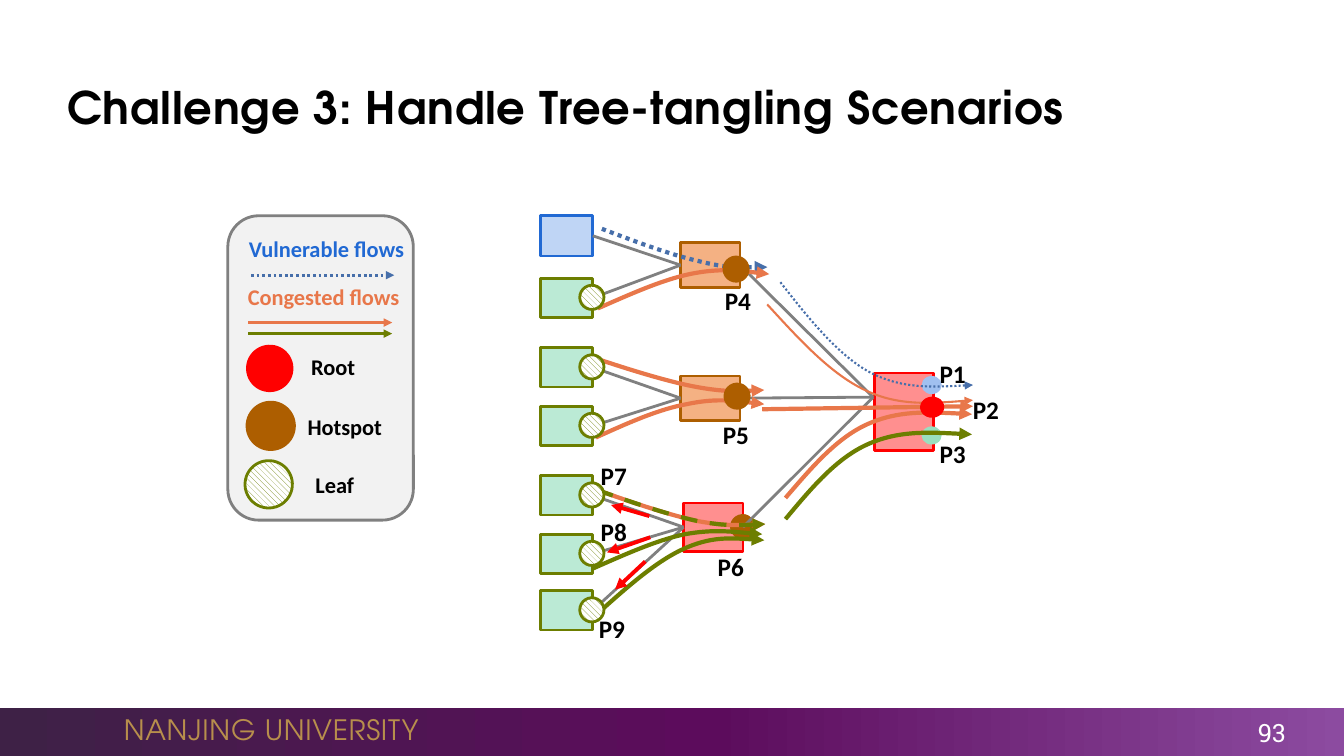
from dataclasses import dataclass
from typing import Optional

import lxml.etree
import pptx
import pptx.dml.color
import pptx.dml.fill
import pptx.dml.line
import pptx.enum.dml
import pptx.enum.shapes
import pptx.enum.text
import pptx.oxml.ns
import pptx.shapes.autoshape
import pptx.shapes.connector
import pptx.util

RGB = pptx.dml.color.RGBColor
SHAPE = pptx.enum.shapes.MSO_SHAPE
PATTERN = pptx.enum.dml.MSO_PATTERN_TYPE
DASH = pptx.enum.dml.MSO_LINE_DASH_STYLE
ALIGN = pptx.enum.text.PP_ALIGN
ANCHOR = pptx.enum.text.MSO_ANCHOR
qn = pptx.oxml.ns.qn

PX = 9144
TOP, LEFT, BOTTOM, RIGHT = range(4)

BLACK = RGB(0x00, 0x00, 0x00)
WHITE = RGB(0xFF, 0xFF, 0xFF)
GRAY = RGB(0x80, 0x80, 0x80)
PANEL = RGB(0xF2, 0xF2, 0xF2)
GOLD = RGB(0xB8, 0x8F, 0x4C)
RED = RGB(0xFF, 0x00, 0x00)
PINK = RGB(0xFF, 0x8F, 0x8F)
ROSE = RGB(0xF4, 0x9F, 0xAC)
BROWN = RGB(0xAD, 0x5E, 0x00)
PEACH = RGB(0xF4, 0xB1, 0x83)
ORANGE = RGB(0xE8, 0x77, 0x4A)
OLIVE = RGB(0x6C, 0x7E, 0x00)
MINT = RGB(0xBB, 0xEA, 0xD5)
PORT_MINT = RGB(0x9A, 0xDF, 0xBF)
BLUE = RGB(0x21, 0x69, 0xD3)
PALE_BLUE = RGB(0xBF, 0xD5, 0xF5)
PORT_BLUE = RGB(0xA0, 0xC0, 0xF0)
FLOW_BLUE = RGB(0x47, 0x6F, 0xAA)
BAND = ((0, RGB(0x3E, 0x21, 0x46)), (0.53, RGB(0x5C, 0x0C, 0x5C)), (1, RGB(0x8C, 0x4B, 0xA0)))


@dataclass(frozen=True)
class Box:
    x: int
    y: int
    w: int
    h: int
    fill: RGB
    line: RGB
    kind: SHAPE = SHAPE.RECTANGLE


@dataclass(frozen=True)
class Dot:
    x: int
    y: int
    w: int
    h: int
    color: RGB
    pattern: Optional[PATTERN] = None
    back: RGB = WHITE
    outlined: bool = True


@dataclass(frozen=True)
class Label:
    text: str
    x: int
    y: int
    w: int = 89
    h: int = 40
    size: int = 18
    color: RGB = BLACK
    font: str = "Calibri"
    bold: bool = True
    align: ALIGN = ALIGN.LEFT
    anchor: ANCHOR = ANCHOR.TOP
    spacing: int = 0
    wrap: bool = True


@dataclass(frozen=True)
class Flow:
    points: tuple[tuple[int, int], ...]
    color: RGB
    width: float = 3
    dash: Optional[DASH] = None


def hotspot(x: int, y: int, size: int = 24) -> Dot:
    return Dot(x, y, size, size, BROWN, PATTERN.DARK_VERTICAL)


def leaf(x: int, y: int, size: int = 24) -> Dot:
    return Dot(x, y, size, size, OLIVE, PATTERN.WIDE_DOWNWARD_DIAGONAL)


HOSTS = [Box(536, 214, 52, 40, PALE_BLUE, BLUE)] + [
    Box(536, y, 52, 39, MINT, OLIVE) for y in (276, 345, 403, 472, 530, 586)]
SWITCHES = [Box(675, 241, 59, 44, PEACH, BROWN), Box(675, 373, 59, 44, PEACH, BROWN),
            Box(678, 499, 59, 48, PINK, RED)]
SWITCH_OF_HOST = (0, 0, 1, 1, 2, 2, 2)
ROOT = Box(867, 370, 59, 77, PINK, RED)
ROOT_ENTRY = (866, 394)

LEGEND_PANEL = Box(226, 214, 184, 302, PANEL, GRAY, SHAPE.ROUNDED_RECTANGLE)
LEGEND_DOTS = [Dot(244, 342, 47, 47, RED, outlined=False), hotspot(245, 399, 47), leaf(243, 457, 47)]
LEGEND_FLOWS = [Flow(((249, 273), (391, 273)), FLOW_BLUE, 2, DASH.ROUND_DOT),
                Flow(((246, 320), (389, 320)), ORANGE, 2),
                Flow(((246, 331), (389, 331)), OLIVE, 2)]
PORTS = [Dot(915, 372, 18, 20, PORT_BLUE, outlined=False),
         Dot(915, 422, 18, 20, PORT_MINT, outlined=False)]
P6_FRONT = Dot(724, 510, 25, 25, BROWN, PATTERN.DARK_VERTICAL, ROSE, False)
FRONT_DOTS = [leaf(575, host.y + 7) for host in HOSTS[1:]] + [
    hotspot(718, 255), hotspot(719, 381), Dot(914, 392, 21, 24, RED, outlined=False)]

P7_CURVE = ((592, 486), (628, 499), (664, 511), (692, 517), (719, 522), (739, 521), (759, 520))
FLOWS = [
    Flow(((774, 280), (802, 316), (831, 352), (862, 369), (894, 386), (929, 384), (965, 382)),
         FLOW_BLUE, 1.5, DASH.ROUND_DOT),
    Flow(((761, 302), (793, 337), (824, 371), (858, 387), (891, 403), (928, 400), (965, 397)), ORANGE, 1.5),
    Flow(((756, 406), (965, 403)), ORANGE),
    Flow(((779, 494), (804, 465), (829, 435), (860, 421), (891, 407), (927, 409), (964, 411)), ORANGE),
    Flow(((597, 227), (631, 240), (666, 253), (693, 259), (720, 266), (740, 265), (761, 265)),
         FLOW_BLUE, 3, DASH.ROUND_DOT),
    Flow(((593, 306), (625, 292), (656, 278), (684, 272), (713, 266), (738, 269), (763, 272)), ORANGE),
    Flow(((592, 356), (628, 368), (664, 379), (691, 384), (719, 389), (739, 388), (758, 387)), ORANGE),
    Flow(((591, 434), (622, 420), (653, 406), (681, 401), (709, 395), (734, 398), (758, 401)), ORANGE),
    Flow(P7_CURVE, ORANGE),
    Flow(((588, 564), (620, 550), (651, 536), (679, 530), (707, 525), (731, 528), (756, 530)), OLIVE),
    Flow(((589, 612), (619, 585), (649, 558), (677, 545), (705, 532), (732, 534), (758, 536)), OLIVE),
    Flow(((779, 515), (804, 485), (829, 455), (860, 441), (891, 427), (927, 429), (964, 431)), OLIVE),
    Flow(((645, 533), (602, 548)), RED, 2.75),
    Flow(((640, 557), (610, 585)), RED, 2.75),
    Flow(((644, 512), (606, 501)), RED, 2.75),
    Flow(P7_CURVE, OLIVE, 3, DASH.DASH),
]

LABELS = [
    Label("NANJING UNIVERSITY", 113, 702, 317, 44, 20, GOLD, "TeX Gyre Adventor", False,
          anchor=ANCHOR.MIDDLE, spacing=50, wrap=False),
    Label("93", 1179, 709, 106, 35, 18, WHITE, "Roboto Slab", False, ALIGN.RIGHT, ANCHOR.MIDDLE),
    Label("Challenge 3: Handle Tree-tangling Scenarios", 57, 67, 1200, 77, 32,
          font="TeX Gyre Adventor", anchor=ANCHOR.MIDDLE, spacing=50),
    Label("Vulnerable flows", 237, 228, 176, 37, 16, BLUE),
    Label("Congested flows", 236, 276, 176, 37, 16, ORANGE),
    Label("Root", 259, 345, 143, 37, 16, align=ALIGN.CENTER),
    Label("Hotspot", 259, 405, 166, 37, 16, align=ALIGN.CENTER),
    Label("Leaf", 249, 463, 166, 37, 16, align=ALIGN.CENTER),
    Label("P1", 922, 351), Label("P2", 955, 386), Label("P3", 922, 430),
    Label("P4", 709, 278), Label("P5", 707, 411), Label("P6", 702, 542),
    Label("P7", 586, 452), Label("P8", 586, 507), Label("P9", 584, 604),
]

deck = pptx.Presentation()
deck.slide_width, deck.slide_height = 1333 * PX, 750 * PX
slide = deck.slides.add_slide(deck.slide_layouts[6])
shapes = slide.shapes


def add_preset(kind: SHAPE, x: int, y: int, w: int, h: int) -> pptx.shapes.autoshape.Shape:
    shape = shapes.add_shape(kind, x * PX, y * PX, w * PX, h * PX)
    shape.shadow.inherit = False
    shape.line.fill.background()
    return shape


def set_line(line: pptx.dml.line.LineFormat, color: RGB, width: float = 2) -> None:
    line.color.rgb = color
    line.width = pptx.util.Pt(width)


def draw_band() -> None:
    fill = add_preset(SHAPE.RECTANGLE, 0, 702, 1333, 48).fill
    fill.gradient()
    fill.gradient_angle = 0
    stops = fill._fill._gradFill.find(qn("a:gsLst"))
    for stop in list(stops):
        stops.remove(stop)
    for position, color in BAND:
        stop = lxml.etree.SubElement(stops, qn("a:gs"), pos=str(round(position * 100000)))
        lxml.etree.SubElement(stop, qn("a:srgbClr"), val=str(color))


def draw_box(box: Box) -> pptx.shapes.autoshape.Shape:
    shape = add_preset(box.kind, box.x, box.y, box.w, box.h)
    shape.fill.solid()
    shape.fill.fore_color.rgb = box.fill
    set_line(shape.line, box.line)
    return shape


def draw_dot(dot: Dot) -> None:
    shape = add_preset(SHAPE.OVAL, dot.x, dot.y, dot.w, dot.h)
    shape.rotation = 87.2
    if dot.pattern is None:
        shape.fill.solid()
    else:
        shape.fill.patterned()
        shape.fill.pattern = dot.pattern
        shape.fill.back_color.rgb = dot.back
    shape.fill.fore_color.rgb = dot.color
    if dot.outlined:
        set_line(shape.line, dot.color)


def add_straight(start: tuple[int, int], end: tuple[int, int]) -> pptx.shapes.connector.Connector:
    connector = shapes.add_connector(pptx.enum.shapes.MSO_CONNECTOR.STRAIGHT,
                                     *(value * PX for value in start + end))
    set_line(connector.line, GRAY)
    lxml.etree.SubElement(connector._element.spPr, qn("a:effectLst"))
    return connector


def add_curve(points: tuple[tuple[int, int], ...]) -> pptx.shapes.autoshape.Shape:
    builder = shapes.build_freeform(*points[0], scale=PX)
    builder.add_line_segments(points[1:], close=False)
    curve = builder.convert_to_shape()
    curve.shadow.inherit = False
    curve.fill.background()
    segments = list(curve._element.iter(qn("a:lnTo")))
    for first in range(0, len(segments), 3):
        bezier = lxml.etree.SubElement(segments[first].getparent(), qn("a:cubicBezTo"))
        for segment in segments[first:first + 3]:
            bezier.append(segment[0])
            segment.getparent().remove(segment)
    return curve


def draw_flow(flow: Flow) -> None:
    arrow = add_straight(*flow.points) if len(flow.points) == 2 else add_curve(flow.points)
    set_line(arrow.line, flow.color, flow.width)
    if flow.dash is not None:
        arrow.line.dash_style = flow.dash
    lxml.etree.SubElement(arrow.line._get_or_add_ln(), qn("a:tailEnd"), type="triangle")


def draw_label(label: Label) -> None:
    frame = shapes.add_textbox(label.x * PX, label.y * PX, label.w * PX, label.h * PX).text_frame
    frame.word_wrap = label.wrap
    frame.vertical_anchor = label.anchor
    paragraph = frame.paragraphs[0]
    paragraph.text = label.text
    paragraph.alignment = label.align
    paragraph.font.name = label.font
    paragraph.font.size = pptx.util.Pt(label.size)
    paragraph.font.bold = label.bold
    paragraph.font.color.rgb = label.color
    if label.spacing:
        paragraph.runs[0]._r.get_or_add_rPr().set("spc", str(label.spacing))


def draw_links() -> None:
    hosts = [draw_box(host) for host in HOSTS]
    switches = [draw_box(switch) for switch in SWITCHES]
    draw_box(ROOT)
    draw_dot(P6_FRONT)
    for host, switch in zip(hosts, SWITCH_OF_HOST):
        link = add_straight((0, 0), (0, 0))
        link.begin_connect(host, RIGHT)
        link.end_connect(switches[switch], LEFT)
    for switch in switches:
        add_straight(ROOT_ENTRY, ROOT_ENTRY).begin_connect(switch, RIGHT)


def main() -> None:
    draw_band()
    draw_box(LEGEND_PANEL)
    draw_dot(hotspot(723, 511))
    draw_links()
    for port in PORTS:
        draw_dot(port)
    for flow in LEGEND_FLOWS + FLOWS:
        draw_flow(flow)
    for dot in LEGEND_DOTS + FRONT_DOTS:
        draw_dot(dot)
    for label in LABELS:
        draw_label(label)
    deck.save("out.pptx")


if __name__ == "__main__":
    main()
